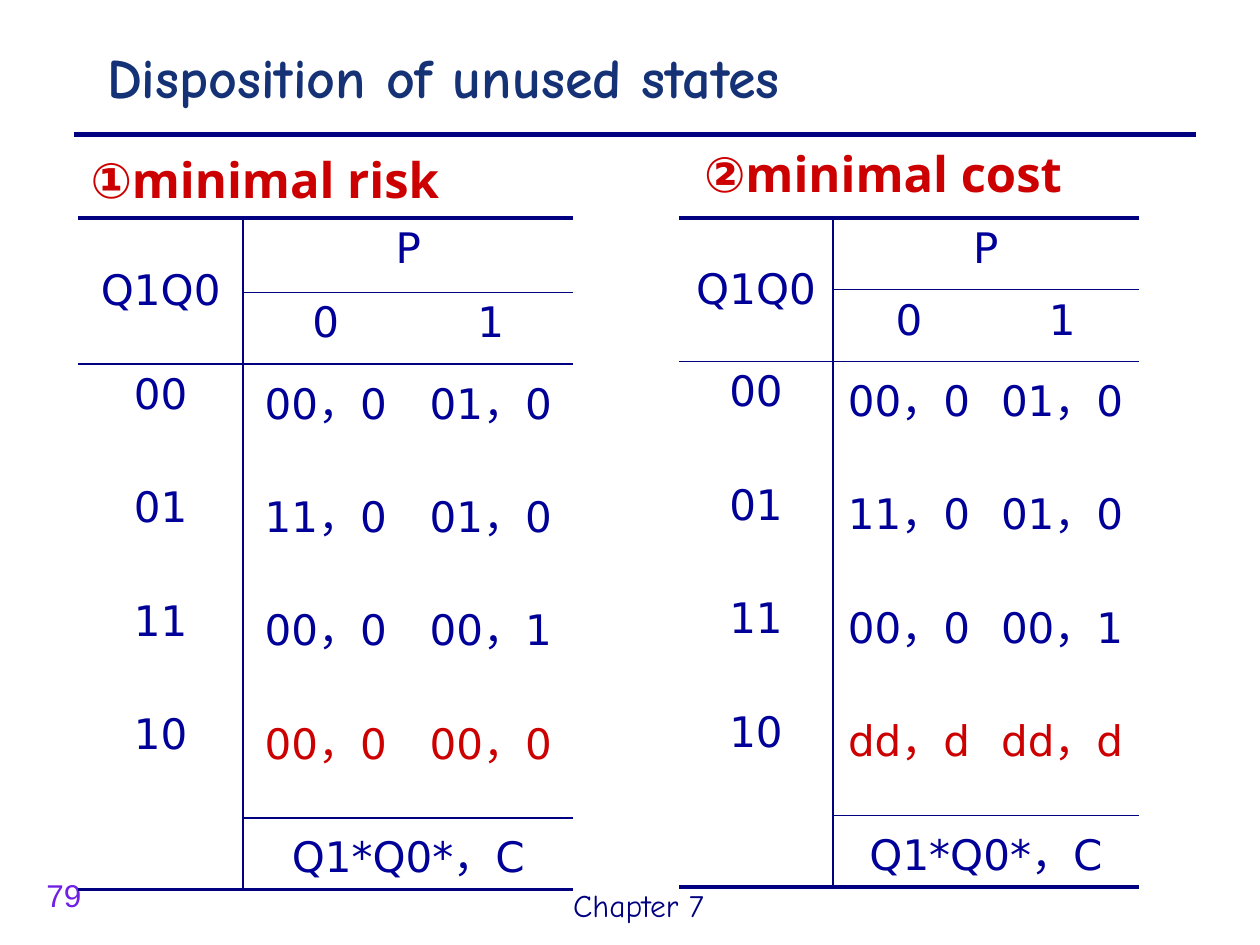
from dataclasses import dataclass

from lxml import etree
from pptx import Presentation
from pptx.dml.color import RGBColor
from pptx.enum.shapes import MSO_CONNECTOR
from pptx.enum.text import MSO_ANCHOR, PP_ALIGN
from pptx.oxml.ns import qn
from pptx.util import Inches, Pt

STRAIGHT = MSO_CONNECTOR.STRAIGHT
TOP, MIDDLE = MSO_ANCHOR.TOP, MSO_ANCHOR.MIDDLE
LEFT, CENTER = PP_ALIGN.LEFT, PP_ALIGN.CENTER
TITLE_ONLY = 5
PLAIN_TABLE = "{2D5ABB26-0587-4C30-8999-92F81FD0307C}"


@dataclass(frozen=True)
class Theme:
    title: str = "153276"
    rule: str = "000080"
    table: str = "000099"
    accent: str = "CC0000"
    number: str = "6F20E4"
    title_font: str = "Comic Neue"
    table_font: str = "DejaVu Sans"
    caption_font: str = "Noto Sans"
    number_font: str = "Arial"
    title_size: float = 32
    caption_size: float = 28
    table_size: float = 24
    footer_size: float = 18
    heavy: float = 2.25
    thin: float = 1
    title_rule: float = 3


THEME = Theme()
# Line widths above each table row, and below the last one
ROW_LINES = {0: THEME.heavy, 1: THEME.thin, 2: THEME.thin,
             6: THEME.thin, 7: THEME.heavy}


def write(frame, text, font, size, color, bold=False, align=LEFT, anchor=TOP):
    frame.word_wrap = True
    frame.vertical_anchor = anchor
    frame.text = text
    para = frame.paragraphs[0]
    para.alignment = align
    para.space_before = Pt(0)
    for span in para.runs:
        span.font.name = font
        span.font.size = Pt(size)
        span.font.bold = bold
        span.font.color.rgb = RGBColor.from_string(color)


def add_text(page, box, text, font, size, color, bold=False):
    shape = page.shapes.add_textbox(*map(Inches, box))
    write(shape.text_frame, text, font, size, color, bold)


def add_header(page, box, text):
    left, top, width, height = box
    title = page.shapes.title
    title.left, title.top = Inches(left), Inches(top)
    title.width, title.height = Inches(width), Inches(height)
    write(title.text_frame, text, THEME.title_font, THEME.title_size,
          THEME.title, bold=True, anchor=MIDDLE)
    rule_y = Inches(top + height + 0.07)
    rule = page.shapes.add_connector(STRAIGHT, Inches(left - 0.16), rule_y,
                                     Inches(left + width), rule_y)
    rule.line.color.rgb = RGBColor.from_string(THEME.rule)
    rule.line.width = Pt(THEME.title_rule)
    etree.SubElement(rule._element.spPr, qn("a:effectLst"))


def set_borders(cell, widths):
    """Draw the sides L, R, T, B in order; a width of None hides a side."""
    props = cell._tc.get_or_add_tcPr()
    for side, width in widths.items():
        line = etree.SubElement(props, qn(f"a:ln{side}"))
        if width is None:
            etree.SubElement(line, qn("a:noFill"))
            continue
        line.set("w", str(Pt(width)))
        fill = etree.SubElement(line, qn("a:solidFill"))
        etree.SubElement(fill, qn("a:srgbClr"), val=THEME.rule)


def row_line(line, column):
    return None if (line, column) == (6, 0) else ROW_LINES.get(line)


def add_state_table(page, box, first_row, columns, unused):
    """Place a transition table whose last state row holds the unused state."""
    rows = [
        ["Q1Q0", "P", ""],
        ["", "0", "1"],
        ["00", "00，0", "01，0"],
        ["01", "11，0", "01，0"],
        ["11", "00，0", "00，1"],
        ["10", unused, unused],
        ["", "Q1*Q0*，C", ""],
    ]
    frame = page.shapes.add_table(len(rows), len(columns), *map(Inches, box))
    table = frame.table
    table.first_row = table.horz_banding = False
    frame._element.find(".//" + qn("a:tableStyleId")).text = PLAIN_TABLE
    for column, width in zip(table.columns, columns):
        column.width = Inches(width)
    for row in table.rows:
        row.height = Inches(0.57)
    table.rows[0].height = Inches(first_row)
    table.cell(0, 0).merge(table.cell(1, 0))
    table.cell(0, 1).merge(table.cell(0, 2))
    table.cell(6, 1).merge(table.cell(6, 2))

    for r, values in enumerate(rows):
        for c, value in enumerate(values):
            cell = table.cell(r, c)
            if cell.is_spanned:
                continue
            set_borders(cell, {"L": THEME.thin if c == 1 else None,
                               "R": THEME.thin if c == 0 else None,
                               "T": row_line(r, c),
                               "B": row_line(r + 1, c)})
            cell.fill.background()
            if value:
                color = THEME.accent if value == unused and r == 5 else THEME.table
                write(cell.text_frame, value, THEME.table_font,
                      THEME.table_size, color, align=CENTER)
            cell.vertical_anchor = MIDDLE if (r, c) == (0, 0) else TOP


def add_caption(page, box, text):
    add_text(page, box, text, THEME.caption_font, THEME.caption_size,
             THEME.accent, bold=True)


def add_footer(page, number_box, chapter_box):
    add_text(page, number_box, "79", THEME.number_font, THEME.footer_size,
             THEME.number)
    add_text(page, chapter_box, "Chapter 7", THEME.title_font,
             THEME.footer_size, THEME.rule)


def main():
    deck = Presentation()
    deck.slide_width, deck.slide_height = Inches(10), Inches(7.5)
    page = deck.slides.add_slide(deck.slide_layouts[TITLE_ONLY])
    add_header(page, (0.75, 0.21, 8.74, 0.79), "Disposition of unused states")
    add_footer(page, (0.27, 6.9, 0.71, 0.4), (4.45, 6.98, 1.42, 0.4))
    add_state_table(page, (0.62, 1.73, 3.94, 4.03), 0.59,
                    (1.31, 1.31, 1.31), "00，0")
    add_state_table(page, (5.39, 1.73, 3.64, 3.99), 0.57,
                    (1.22, 1.21, 1.22), "dd，d")
    add_caption(page, (0.62, 1.14, 3.49, 0.57), "①minimal risk")
    add_caption(page, (5.49, 1.09, 3.84, 0.57), "②minimal cost")
    deck.save("out.pptx")


if __name__ == "__main__":
    main()
